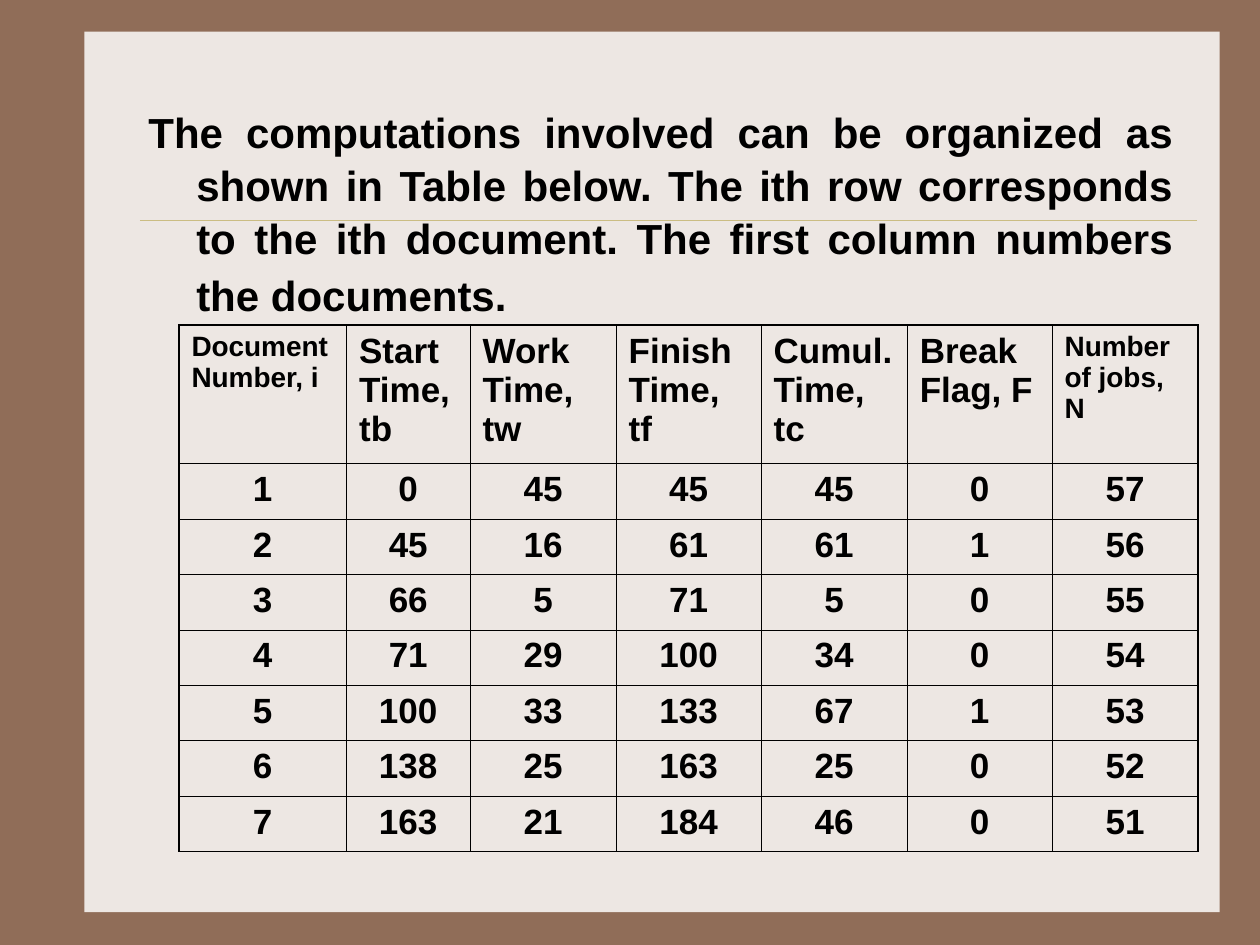
import pptx
import pptx.dml.color
import pptx.enum.shapes
import pptx.enum.text
import pptx.oxml
import pptx.oxml.ns
import pptx.util

Inches = pptx.util.Inches
Pt = pptx.util.Pt
ALIGN = pptx.enum.text.PP_ALIGN

COLORS = {"frame": "906D58", "panel": "EDE7E3", "rule": "CBBD83", "ink": "000000"}
FONT = "Arial"
INNER_LINE, OUTER_LINE = 0.45, 1.08

INTRO = (
    "The computations involved can be organized as shown in Table below. "
    "The ith row corresponds to the ith document. "
    "The first column numbers the documents."
)
HEADERS = [
    "Document Number, i", "Start Time, tb", "Work Time, tw", "Finish Time, tf",
    "Cumul. Time, tc", "Break Flag, F", "Number of jobs, N",
]
ROWS = [
    [1, 0, 45, 45, 45, 0, 57],
    [2, 45, 16, 61, 61, 1, 56],
    [3, 66, 5, 71, 5, 0, 55],
    [4, 71, 29, 100, 34, 0, 54],
    [5, 100, 33, 133, 67, 1, 53],
    [6, 138, 25, 163, 25, 0, 52],
    [7, 163, 21, 184, 46, 0, 51],
]
COLUMN_WIDTHS = [1.33, 0.98, 1.16, 1.15, 1.16, 1.15, 1.16]
HEADER_HEIGHT, ROW_HEIGHT = 1.1, 0.44


def rgb(name):
    return pptx.dml.color.RGBColor.from_string(COLORS[name])


def add_span(para, text, size=20, bold=True, color="ink"):
    span = para.add_run()
    span.text = text
    span.font.name = FONT
    span.font.size = Pt(size)
    span.font.bold = bold
    span.font.color.rgb = rgb(color)


def add_backdrop(page):
    """Brown frame, pale panel and the thin rule across it."""
    page.background.fill.solid()
    page.background.fill.fore_color.rgb = rgb("frame")
    panel = page.shapes.add_shape(
        pptx.enum.shapes.MSO_SHAPE.RECTANGLE,
        Inches(0.67), Inches(0.25), Inches(9.01), Inches(6.99))
    panel.shadow.inherit = False
    panel.fill.solid()
    panel.fill.fore_color.rgb = rgb("panel")
    panel.line.fill.background()

    rule = page.shapes.add_connector(
        pptx.enum.shapes.MSO_CONNECTOR.STRAIGHT,
        Inches(1.11), Inches(1.75), Inches(9.5), Inches(1.75))
    rule.line.color.rgb = rgb("rule")
    rule.line.width = Pt(0.25)
    properties = rule._element.spPr
    properties.append(pptx.oxml.parse_xml(
        f"<a:effectLst {pptx.oxml.ns.nsdecls('a')}/>"))


def add_intro(page):
    box = page.shapes.add_textbox(
        Inches(1.08), Inches(0.78), Inches(8.33), Inches(1.7))
    box.text_frame.word_wrap = True
    para = box.text_frame.paragraphs[0]
    para.alignment = ALIGN.JUSTIFY
    para.line_spacing = 1.05
    indent = Inches(0.38)
    properties = para._p.get_or_add_pPr()
    properties.set("marL", str(indent))
    properties.set("indent", str(-indent))
    add_span(para, INTRO, size=24)
    add_span(para, " ", size=26)  # makes the last line slightly taller


def set_border(cell, side, width):
    cell._tc.get_or_add_tcPr().append(pptx.oxml.parse_xml(
        f'<a:ln{side} {pptx.oxml.ns.nsdecls("a")} w="{Pt(width)}">'
        f'<a:solidFill><a:srgbClr val="{COLORS["ink"]}"/></a:solidFill>'
        f"</a:ln{side}>"))


def add_schedule(page):
    records = [HEADERS] + ROWS
    last_row, last_column = len(records) - 1, len(HEADERS) - 1
    table = page.shapes.add_table(
        len(records), len(HEADERS), Inches(1.42), Inches(2.58),
        Inches(sum(COLUMN_WIDTHS)),
        Inches(HEADER_HEIGHT + len(ROWS) * ROW_HEIGHT)).table
    table.first_row = True
    table.horz_banding = False
    for column, width in zip(table.columns, COLUMN_WIDTHS):
        column.width = Inches(width)
    for r, record in enumerate(records):
        table.rows[r].height = Inches(ROW_HEIGHT if r else HEADER_HEIGHT)
        for c, value in enumerate(record):
            cell = table.cell(r, c)
            edges = {"L": c == 0, "R": c == last_column,
                     "T": r == 0, "B": r == last_row}
            for side, is_outer in edges.items():
                set_border(cell, side, OUTER_LINE if is_outer else INNER_LINE)
            cell.fill.background()
            para = cell.text_frame.paragraphs[0]
            para.alignment = ALIGN.CENTER if r else ALIGN.LEFT
            is_small = r == 0 and c in (0, last_column)
            add_span(para, str(value), size=16 if is_small else 20)


def main():
    deck = pptx.Presentation()
    deck.slide_width, deck.slide_height = Inches(10), Inches(7.5)
    page = deck.slides.add_slide(deck.slide_layouts.get_by_name("Blank"))
    add_backdrop(page)
    add_intro(page)
    add_schedule(page)
    deck.save("out.pptx")


if __name__ == "__main__":
    main()
